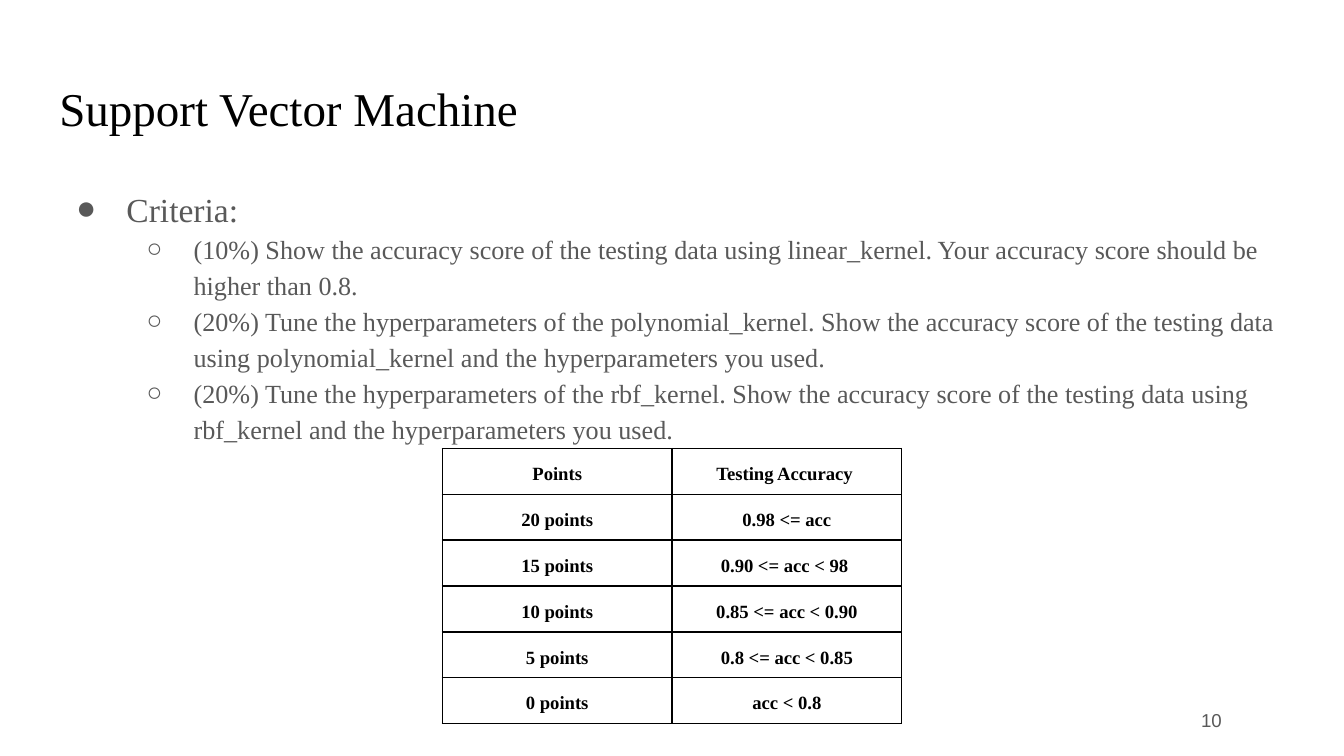
from lxml import etree
from pptx import Presentation
from pptx.dml.color import RGBColor
from pptx.enum.text import MSO_ANCHOR, MSO_AUTO_SIZE, PP_ALIGN
from pptx.oxml.ns import qn
from pptx.util import Cm, Pt

LEFT, CENTER, RIGHT = PP_ALIGN.LEFT, PP_ALIGN.CENTER, PP_ALIGN.RIGHT
TOP, MIDDLE = MSO_ANCHOR.TOP, MSO_ANCHOR.MIDDLE
NO_AUTOFIT = MSO_AUTO_SIZE.NONE

BLACK = RGBColor(0x00, 0x00, 0x00)
GRAY = RGBColor(0x59, 0x59, 0x59)
SERIF, SANS = "Times New Roman", "Arial"

TITLE_ONLY_LAYOUT = 5
INSET = Cm(0.25)
CELL_INSET = Cm(0.18)
ROW_HEIGHT = Cm(0.86)
COLUMN_WIDTH = Cm(4.34)

# level, text
CRITERIA = [
    (0, "Criteria:"),
    (1, "(10%) Show the accuracy score of the testing data using linear_kernel. "
        "Your accuracy score should be higher than 0.8."),
    (1, "(20%) Tune the hyperparameters of the polynomial_kernel. Show the accuracy score "
        "of the testing data using polynomial_kernel and the hyperparameters you used."),
    (1, "(20%) Tune the hyperparameters of the rbf_kernel. Show the accuracy score "
        "of the testing data using rbf_kernel and the hyperparameters you used."),
]
# bullet, font size, left margin, first-line indent for each level
LEVELS = [
    ("●", 18, Cm(1.27), Cm(-0.95)),
    ("○", 14, Cm(2.54), Cm(-0.89)),
]
GRADING = [
    ("Points", "Testing Accuracy "),
    ("20 points", "0.98 <= acc"),
    ("15 points", "0.90 <= acc < 98 "),
    ("10 points", "0.85 <= acc < 0.90"),
    ("5 points", "0.8 <= acc < 0.85"),
    ("0 points", "acc < 0.8"),
]


def add_run(paragraph, text, size, font=SERIF, color=BLACK, bold=False):
    run = paragraph.add_run()
    run.text = text
    run.font.size = Pt(size)
    run.font.name = font
    run.font.color.rgb = color
    run.font.bold = bold


def prepare_frame(shape, anchor):
    frame = shape.text_frame
    frame.word_wrap = True
    frame.auto_size = NO_AUTOFIT
    frame.vertical_anchor = anchor
    frame.margin_left = frame.margin_right = INSET
    frame.margin_top = frame.margin_bottom = INSET
    return frame


def set_bullet(paragraph, character, color, margin, indent):
    properties = paragraph._p.get_or_add_pPr()
    properties.set("marL", str(margin))
    properties.set("indent", str(indent))
    bullet_color = etree.SubElement(properties, qn("a:buClr"))
    etree.SubElement(bullet_color, qn("a:srgbClr"), val=str(color))
    etree.SubElement(properties, qn("a:buFont"), typeface=SERIF)
    etree.SubElement(properties, qn("a:buChar"), char=character)


def set_borders(cell, color, width):
    properties = cell._tc.get_or_add_tcPr()
    for side in ("a:lnL", "a:lnR", "a:lnT", "a:lnB"):
        line = etree.SubElement(properties, qn(side), w=str(width))
        fill = etree.SubElement(line, qn("a:solidFill"))
        etree.SubElement(fill, qn("a:srgbClr"), val=str(color))


def set_title(slide, text):
    title = slide.shapes.title
    title.left, title.top = Cm(0.87), Cm(1.24)
    title.width, title.height = Cm(23.67), Cm(1.6)
    paragraph = prepare_frame(title, MIDDLE).paragraphs[0]
    paragraph.alignment = LEFT
    add_run(paragraph, text, 25.2)


def add_criteria(slide):
    box = slide.shapes.add_textbox(Cm(0.87), Cm(3.2), Cm(23.67), Cm(10.03))
    frame = prepare_frame(box, TOP)
    for index, (level, text) in enumerate(CRITERIA):
        paragraph = frame.add_paragraph() if index else frame.paragraphs[0]
        bullet, size, margin, indent = LEVELS[level]
        paragraph.level = level
        paragraph.line_spacing = 1.15
        set_bullet(paragraph, bullet, GRAY, margin, indent)
        add_run(paragraph, text, size, color=GRAY)


def add_page_number(slide, number):
    box = slide.shapes.add_textbox(Cm(21.82), Cm(13.06), Cm(1.52), Cm(1.09))
    paragraph = prepare_frame(box, MIDDLE).paragraphs[0]
    paragraph.alignment = RIGHT
    add_run(paragraph, number, 10, font=SANS, color=GRAY)


def fill_cell(cell, text):
    cell.margin_left = cell.margin_right = CELL_INSET
    cell.margin_top = cell.margin_bottom = CELL_INSET
    set_borders(cell, BLACK, Pt(1))
    cell.fill.background()
    paragraph = cell.text_frame.paragraphs[0]
    paragraph.alignment = CENTER
    paragraph.line_spacing = 1.3
    add_run(paragraph, text, 10, bold=True)


def add_grading_table(slide):
    row_count, column_count = len(GRADING), len(GRADING[0])
    table = slide.shapes.add_table(
        row_count, column_count, Cm(8.36), Cm(8.48),
        COLUMN_WIDTH * column_count, ROW_HEIGHT * row_count).table
    table.first_row = table.horz_banding = False
    for row, texts in zip(table.rows, GRADING):
        row.height = ROW_HEIGHT
        for cell, text in zip(row.cells, texts):
            fill_cell(cell, text)


def main():
    presentation = Presentation()
    presentation.slide_width, presentation.slide_height = Cm(25.4), Cm(14.29)
    slide = presentation.slides.add_slide(presentation.slide_layouts[TITLE_ONLY_LAYOUT])
    set_title(slide, "Support Vector Machine")
    add_criteria(slide)
    add_page_number(slide, "10")
    add_grading_table(slide)
    presentation.save("out.pptx")


if __name__ == "__main__":
    main()
